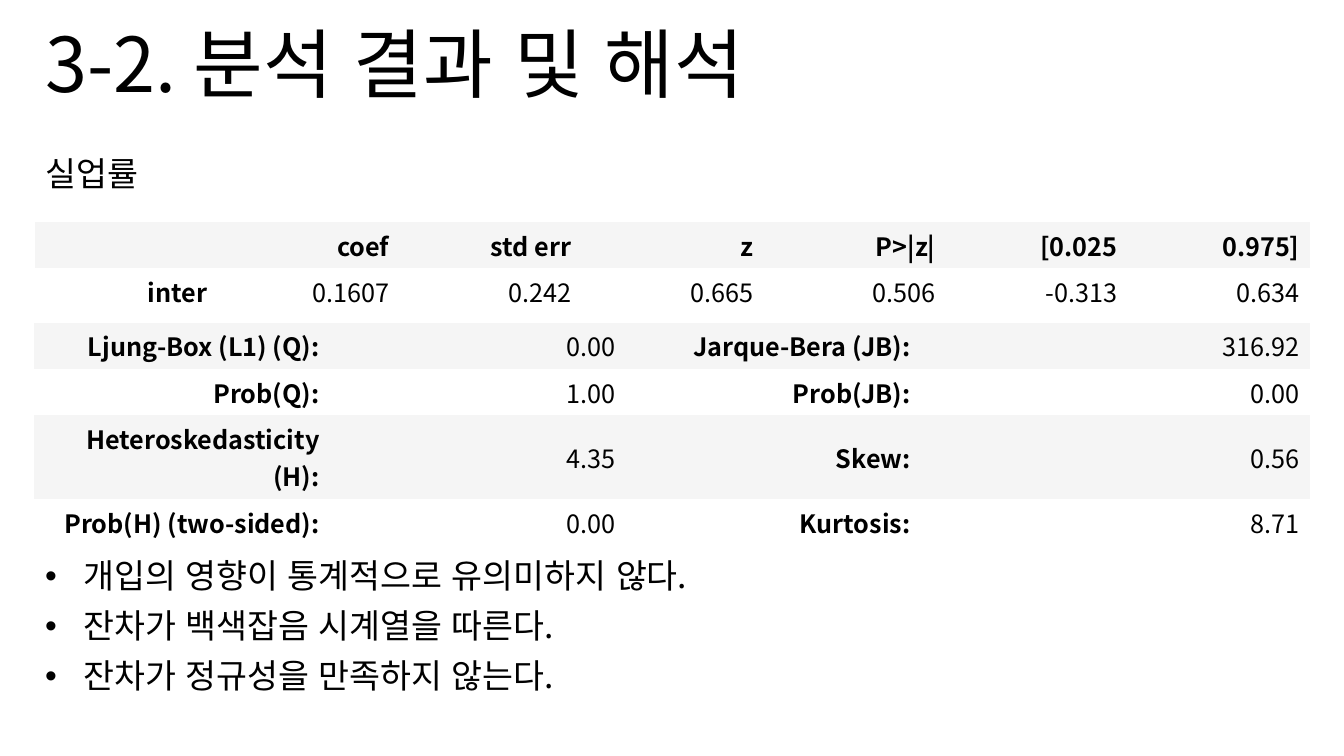
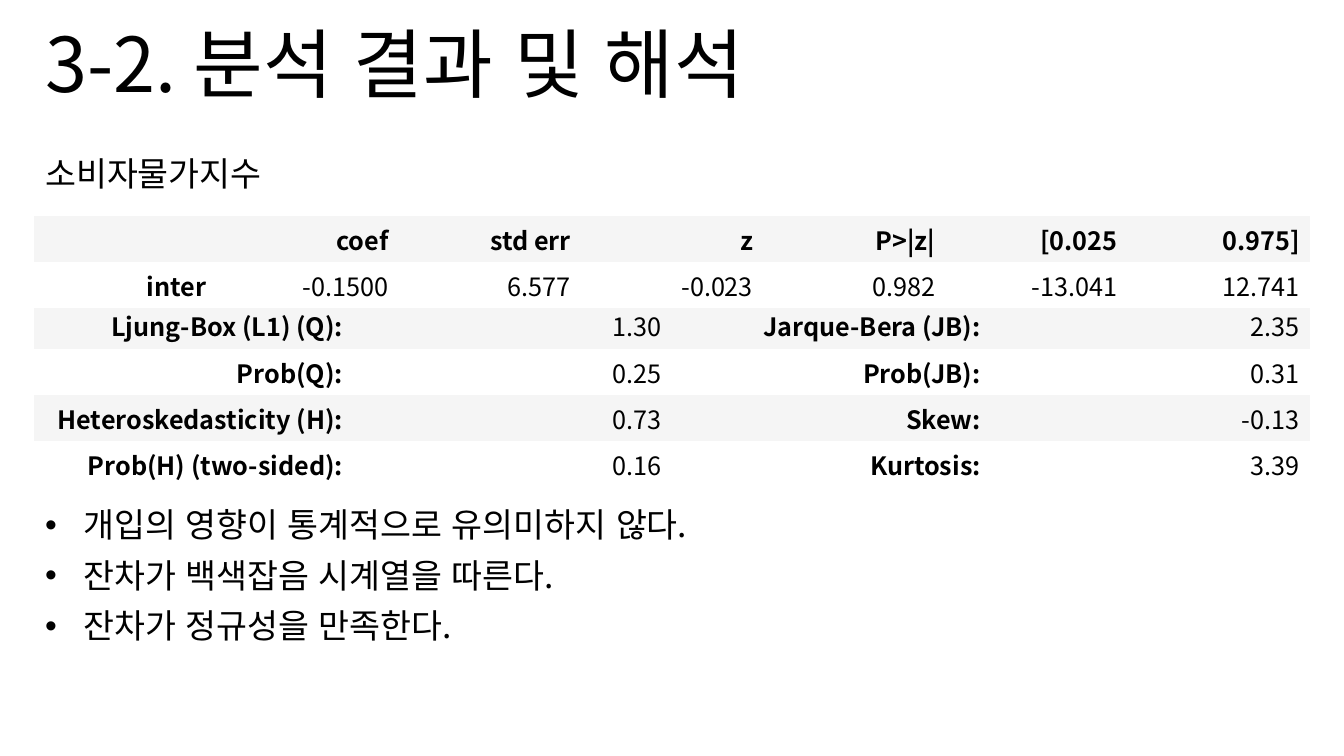
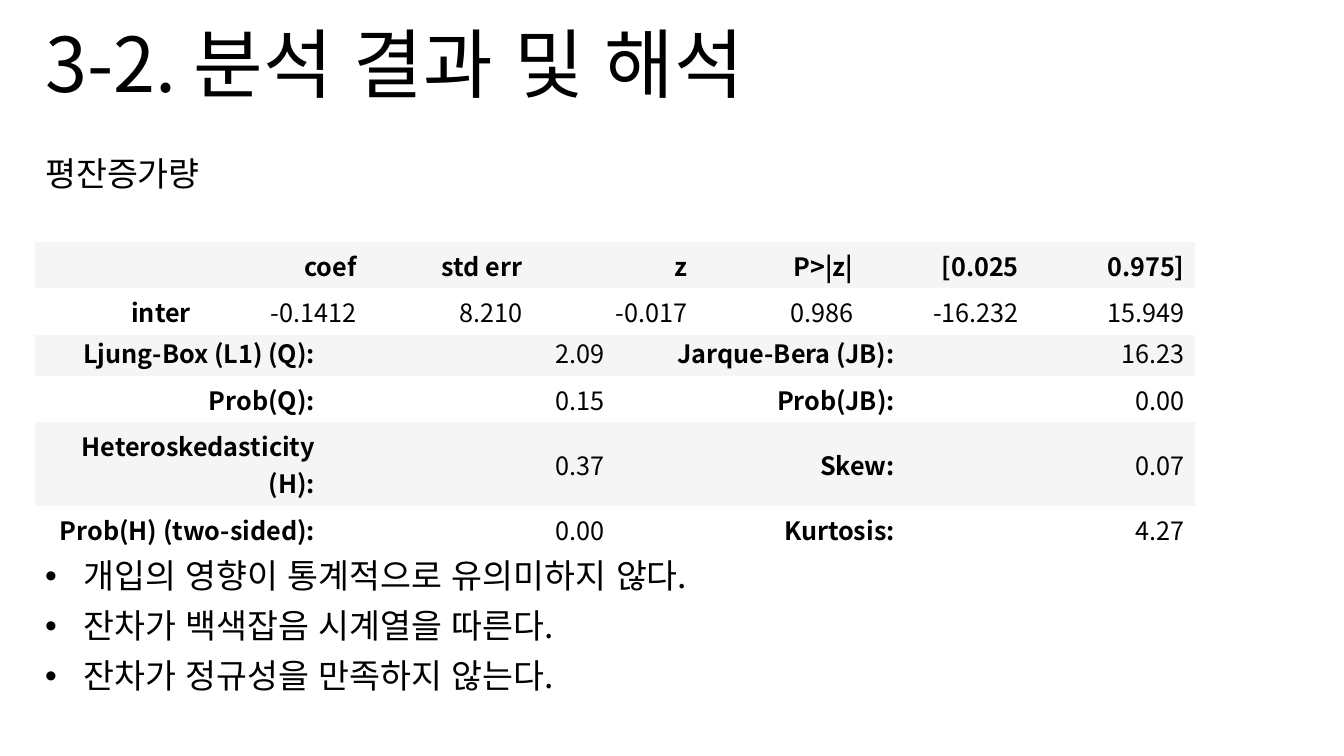
from lxml.etree import SubElement
from pptx import Presentation
from pptx.dml.color import RGBColor
from pptx.enum.lang import MSO_LANGUAGE_ID
from pptx.enum.text import MSO_ANCHOR, MSO_AUTO_SIZE, PP_ALIGN
from pptx.oxml.ns import qn
from pptx.util import Inches, Pt

FONT = "Noto Sans CJK KR"
BLACK = RGBColor(0x00, 0x00, 0x00)
WHITE = RGBColor(0xFF, 0xFF, 0xFF)
GRAY = RGBColor(0xF5, 0xF5, 0xF5)
NO_STYLE = "{2D5ABB26-0587-4C30-8999-92F81FD0307C}"
LEFT, WIDTH = 0.35, 12.65
ROW_H, WRAPPED_H = 0.46, 0.83
PLAIN_ROWS = [ROW_H] * 4
WRAPPED_ROWS = [ROW_H, ROW_H, WRAPPED_H, ROW_H]

TITLE = "3-2. 분석 결과 및 해석"
COEF_HEAD = ["", "coef", "std err", "z", "P>|z|", "[0.025", "0.975]"]
TEST_NAMES = [
    ("Ljung-Box (L1) (Q):", "Jarque-Bera (JB):"),
    ("Prob(Q):", "Prob(JB):"),
    ("Heteroskedasticity (H):", "Skew:"),
    ("Prob(H) (two-sided):", "Kurtosis:"),
]
FINDINGS = ["개입의 영향이 통계적으로 유의미하지 않다.", "잔차가 백색잡음 시계열을 따른다."]
NORMAL = "잔차가 정규성을 만족한다."
NOT_NORMAL = "잔차가 정규성을 만족하지 않는다."

RESULTS = [
    dict(
        name="실업률",
        coefs=["0.1607", "0.242", "0.665", "0.506", "-0.313", "0.634"],
        tests=[("0.00", "316.92"), ("1.00", "0.00"), ("4.35", "0.56"), ("0.00", "8.71")],
        coef_at=(0.35, 2.2), coef_cols=[12.64 / 7] * 7,
        test_at=(0.34, 3.2), test_cols=[2.93, 2.93, 2.93, 3.86],
        test_rows=WRAPPED_ROWS, normality=NOT_NORMAL, findings_top=5.5,
    ),
    dict(
        name="소비자물가지수",
        coefs=["-0.1500", "6.577", "-0.023", "0.982", "-13.041", "12.741"],
        tests=[("1.30", "2.35"), ("0.25", "0.31"), ("0.73", "-0.13"), ("0.16", "3.39")],
        coef_at=(0.34, 2.14), coef_cols=[12.65 / 7] * 7,
        test_at=(0.34, 3), test_cols=[12.65 / 4] * 4,
        test_rows=PLAIN_ROWS, normality=NORMAL, findings_top=5,
    ),
    dict(
        name="평잔증가량",
        coefs=["-0.1412", "8.210", "-0.017", "0.986", "-16.232", "15.949"],
        tests=[("2.09", "16.23"), ("0.15", "0.00"), ("0.37", "0.07"), ("0.00", "4.27")],
        coef_at=(0.35, 2.4), coef_cols=[11.5 / 7] * 7,
        test_at=(0.35, 3.27), test_cols=[11.5 / 4] * 4,
        test_rows=WRAPPED_ROWS, normality=NOT_NORMAL, findings_top=5.5,
    ),
]


def add_text(tf, text, size=24, bold=False, align=PP_ALIGN.LEFT, spacing=0.9, before=0, bullet=False):
    p = tf.paragraphs[0] if not tf.text else tf.add_paragraph()
    p.alignment = align
    p.line_spacing = spacing
    p.space_before = Pt(before)
    if bullet:
        pPr = p._p.get_or_add_pPr()
        pPr.set("marL", str(Inches(0.38)))
        pPr.set("indent", str(Inches(-0.38)))
        SubElement(pPr, qn("a:buFont")).set("typeface", "Arial")
        SubElement(pPr, qn("a:buChar")).set("char", "•")
    r = p.add_run()
    r.text = text
    r.font.name = FONT
    r.font.size = Pt(size)
    r.font.bold = bold
    r.font.color.rgb = BLACK
    r.font.language_id = MSO_LANGUAGE_ID.KOREAN
    SubElement(r._r.get_or_add_rPr(), qn("a:ea")).set("typeface", FONT)


def add_grid(s, at, cols, heights, rows, is_bold):
    left, top = at
    frame = s.shapes.add_table(len(rows), len(cols), Inches(left), Inches(top),
                               Inches(sum(cols)), Inches(sum(heights)))
    table = frame.table
    table.first_row = False
    table.horz_banding = False
    table._tbl.tblPr.find(qn("a:tableStyleId")).text = NO_STYLE
    for col, width in zip(table.columns, cols):
        col.width = Inches(width)
    for row, height in zip(table.rows, heights):
        row.height = Inches(height)
    for i, row in enumerate(rows):
        for j, text in enumerate(row):
            cell = table.cell(i, j)
            cell.fill.solid()
            cell.fill.fore_color.rgb = WHITE if i % 2 else GRAY
            cell.vertical_anchor = MSO_ANCHOR.MIDDLE
            if text:
                add_text(cell.text_frame, text, size=18, bold=is_bold(i, j),
                         align=PP_ALIGN.RIGHT, spacing=1.0)


prs = Presentation()
prs.slide_width = Inches(13.33)
prs.slide_height = Inches(7.5)

for result in RESULTS:
    s = prs.slides.add_slide(prs.slide_layouts[5])
    title = s.shapes.title
    title.left, title.top = Inches(LEFT), Inches(0.21)
    title.width, title.height = Inches(WIDTH), Inches(0.92)
    tf = title.text_frame
    tf.auto_size = MSO_AUTO_SIZE.NONE
    tf.vertical_anchor = MSO_ANCHOR.BOTTOM
    add_text(tf, TITLE, size=54)

    heading = s.shapes.add_textbox(Inches(LEFT), Inches(1.51), Inches(WIDTH), Inches(0.55))
    heading.text_frame.word_wrap = True
    add_text(heading.text_frame, result["name"], before=10)

    findings = s.shapes.add_textbox(Inches(LEFT), Inches(result["findings_top"]),
                                    Inches(WIDTH), Inches(1.6))
    findings.text_frame.word_wrap = True
    for text in FINDINGS + [result["normality"]]:
        add_text(findings.text_frame, text, before=10, bullet=True)

    tests = [(a, x, b, y) for (a, b), (x, y) in zip(TEST_NAMES, result["tests"])]
    add_grid(s, result["test_at"], result["test_cols"], result["test_rows"], tests,
             lambda i, j: j % 2 == 0)
    coefs = [COEF_HEAD, ["inter"] + result["coefs"]]
    add_grid(s, result["coef_at"], result["coef_cols"], [ROW_H] * 2, coefs,
             lambda i, j: i == 0 or j == 0)

prs.save("out.pptx")
